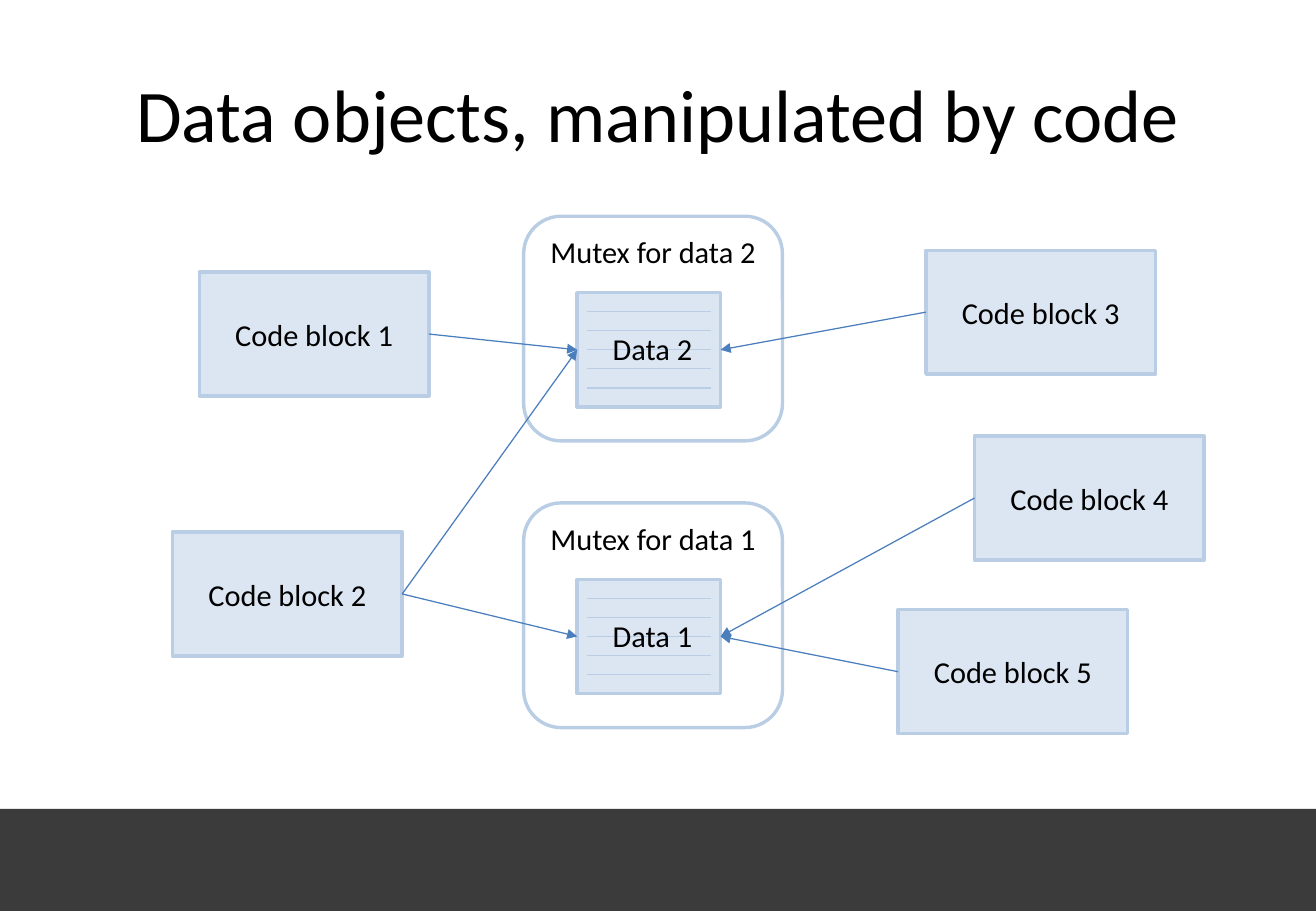
from pptx import Presentation
from pptx import util as u
from pptx.dml.color import RGBColor
from pptx.enum import shapes, text
from pptx.oxml import ns, xmlchemy

BLACK = RGBColor(0x00, 0x00, 0x00)
WHITE = RGBColor(0xFF, 0xFF, 0xFF)
FOOTER_GREY = RGBColor(0x3B, 0x3B, 0x3B)
PALE_BLUE = RGBColor(0xDC, 0xE6, 0xF2)
BORDER_BLUE = RGBColor(0xB9, 0xCD, 0xE5)
ARROW_BLUE = RGBColor(0x4B, 0x7E, 0xBC)

WIDTH, HEIGHT = 10.83, 7.5
FOOTER_TOP = 6.66
RECTANGLE = shapes.MSO_SHAPE.RECTANGLE
ROUNDED = shapes.MSO_SHAPE.ROUNDED_RECTANGLE
LEFT_SITE, RIGHT_SITE = 1, 3

MUTEX_TOPS = {1: 4.14, 2: 1.78}
CODE_BLOCKS = {
    2: (1.42, 4.38),
    1: (1.64, 2.24),
    3: (7.62, 2.06),
    4: (8.02, 3.59),
    5: (7.39, 5.02),
}
ACCESSES = [(1, 2), (2, 2), (3, 2), (4, 1), (5, 1), (2, 1)]
RULE_COUNT = 5


def write(shape, content, size=18, color=BLACK, font="Calibri",
          anchor=text.MSO_ANCHOR.MIDDLE, wrap=True):
    frame = shape.text_frame
    frame.word_wrap = wrap
    frame.vertical_anchor = anchor
    paragraph = frame.paragraphs[0]
    paragraph.alignment = text.PP_ALIGN.CENTER
    run = paragraph.add_run()
    run.text = content
    run.font.size = u.Pt(size)
    run.font.name = font
    run.font.color.rgb = color


class Diagram:
    border_width = 2
    thin_width = 0.75

    def __init__(self, slide):
        self.slide = slide

    def box(self, left, top, width, height, fill=PALE_BLUE, border=BORDER_BLUE,
            kind=RECTANGLE, parent=None):
        shape = (parent or self.slide).shapes.add_shape(
            kind, *map(u.Inches, (left, top, width, height)))
        shape.shadow.inherit = False
        shape.fill.solid()
        shape.fill.fore_color.rgb = fill
        if border is None:
            shape.line.fill.background()
        else:
            shape.line.color.rgb = border
            shape.line.width = u.Pt(self.border_width)
        return shape

    def label(self, content, left, top, width, height, **style):
        shape = self.slide.shapes.add_textbox(
            *map(u.Inches, (left, top, width, height)))
        write(shape, content, **style)

    def line(self, start=(0, 0), end=(0, 0), color=BORDER_BLUE, parent=None):
        connector = (parent or self.slide).shapes.add_connector(
            shapes.MSO_CONNECTOR.STRAIGHT, *map(u.Inches, (*start, *end)))
        connector.line.color.rgb = color
        connector.line.width = u.Pt(self.thin_width)
        properties = connector._element.spPr
        properties.append(xmlchemy.OxmlElement("a:effectLst"))
        return connector

    def arrow(self, source, target):
        connector = self.line(color=ARROW_BLUE)
        rightward = source.left < target.left
        connector.begin_connect(source, RIGHT_SITE if rightward else LEFT_SITE)
        connector.end_connect(target, LEFT_SITE if rightward else RIGHT_SITE)
        head = xmlchemy.OxmlElement("a:tailEnd")
        head.set("type", "triangle")
        connector._element.spPr.find(ns.qn("a:ln")).append(head)

    def code_block(self, number, left, top):
        shape = self.box(left, top, 1.89, 1.02)
        write(shape, f"Code block {number}")
        return shape

    def protected_data(self, number, top):
        mutex = self.box(4.31, top, 2.13, 1.85, fill=WHITE, kind=ROUNDED)
        write(mutex, f"Mutex for data {number}", anchor=text.MSO_ANCHOR.TOP)
        data_top, data_height = top + 0.63, 0.94
        group = self.slide.shapes.add_group_shape()
        data = self.box(4.75, data_top, 1.18, data_height, parent=group)
        for index in range(1, RULE_COUNT + 1):
            y = data_top + index * data_height / (RULE_COUNT + 1)
            self.line((4.83, y), (5.85, y), parent=group)
        self.label(f"Data {number}", 4.94, top + 0.89, 0.86, 0.4, wrap=False)
        return data


def main():
    presentation = Presentation()
    presentation.slide_width = u.Inches(WIDTH)
    presentation.slide_height = u.Inches(HEIGHT)
    diagram = Diagram(presentation.slides.add_slide(presentation.slide_layouts[6]))

    diagram.box(0, FOOTER_TOP, WIDTH, HEIGHT - FOOTER_TOP,
                fill=FOOTER_GREY, border=None)
    diagram.label("Data objects, manipulated by code", 0.54, 0.3, 9.75, 1.25, size=44)
    data = {number: diagram.protected_data(number, top)
            for number, top in MUTEX_TOPS.items()}
    code = {number: diagram.code_block(number, *corner)
            for number, corner in CODE_BLOCKS.items()}
    for block, target in ACCESSES:
        diagram.arrow(code[block], data[target])

    presentation.save("out.pptx")


if __name__ == "__main__":
    main()
